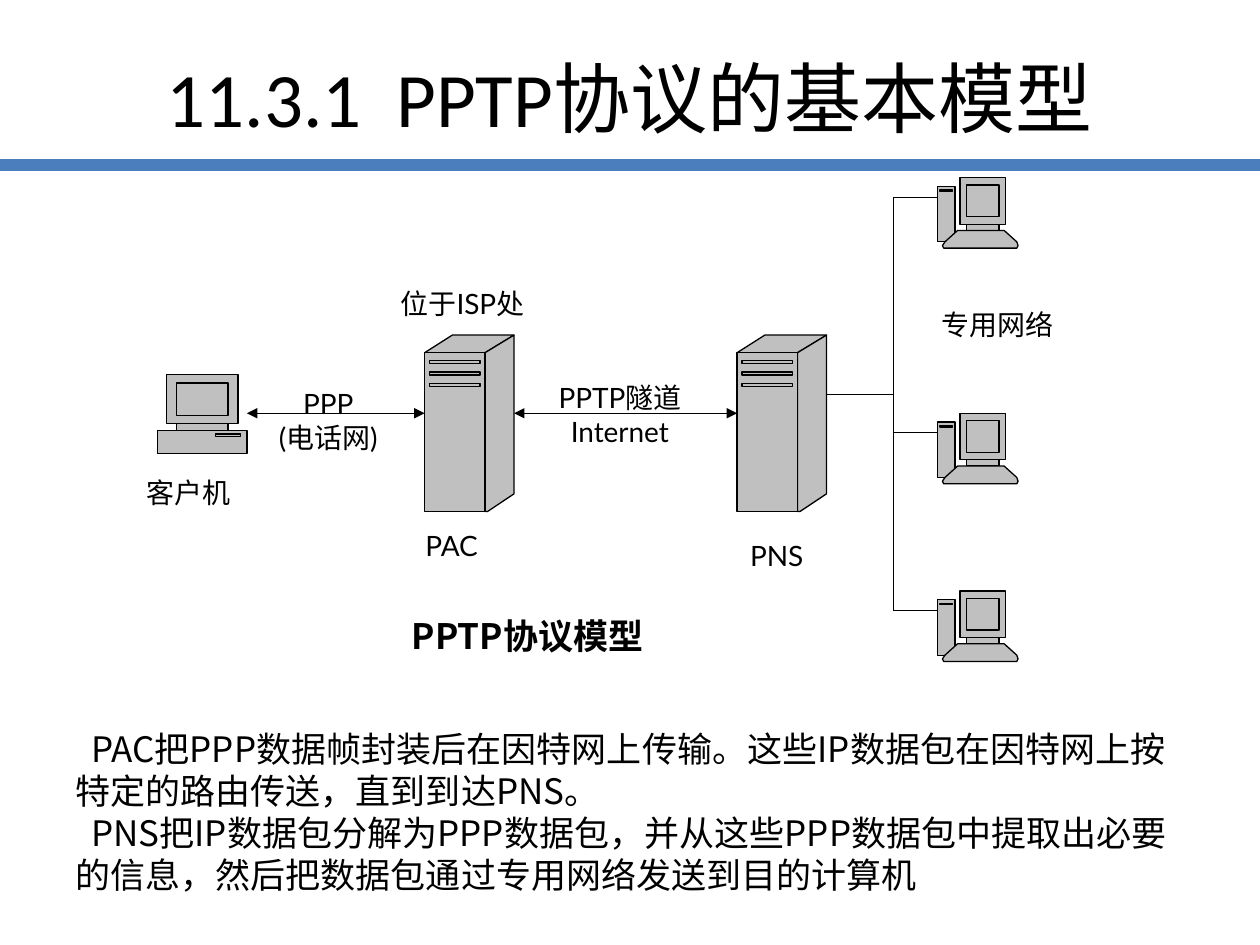
from lxml import etree
from pptx import Presentation, util as u
from pptx.dml.color import RGBColor
from pptx.enum import shapes, text
from pptx.oxml import ns

theme = {
    "ink": RGBColor(0x00, 0x00, 0x00), "metal": RGBColor(0xC0, 0xC0, 0xC0),
    "rule": RGBColor(0x4B, 0x7E, 0xBC),
    "title": ("Calibri", u.Pt(44)), "label": ("Lato", u.Pt(16)),
    "prose": ("Noto Sans CJK SC", u.Pt(20)),
    "thin": u.Pt(0.75), "thick": u.Pt(7), "leading": u.Pt(24),
}

deck = Presentation()
deck.slide_width, deck.slide_height = u.Inches(10), u.Inches(7.5)
slide = deck.slides.add_slide(deck.slide_layouts[5])
canvas = slide.shapes
unit = deck.slide_width / 100


def draw_device(parts, left, top):
    outline = None
    for part in parts:
        if isinstance(part, tuple):
            x, y, width, height = part
            part = [(x, y), (x + width, y), (x + width, y + height), (x, y + height)]
        points = [(int((left + x) * unit), int((top + y) * unit)) for x, y in part]
        if outline is None:
            outline = canvas.build_freeform(*points[0])
        else:
            outline.move_to(*points[0])
        outline.add_line_segments(points[1:], close=True)
    device = outline.convert_to_shape()
    device.shadow.inherit = False
    device.fill.solid()
    device.fill.fore_color.rgb = theme["metal"]
    device.line.color.rgb = theme["ink"]
    device.line.width = theme["thin"]

    merged = device._element.find(".//" + ns.qn("a:path"))
    layers = merged.getparent()
    for step in list(merged):
        if step.tag == ns.qn("a:moveTo"):
            layer = etree.SubElement(layers, ns.qn("a:path"), w=merged.get("w"), h=merged.get("h"))
        layer.append(step)
    layers.remove(merged)


def write(frame, lines, style, align, bold=False):
    frame.text = "\n".join(lines)
    for paragraph in frame.paragraphs:
        paragraph.alignment = align
        paragraph.font.name, paragraph.font.size = theme[style]
        paragraph.font.color.rgb = theme["ink"]
        paragraph.font.bold = bold
        if style == "prose":
            paragraph.line_spacing = theme["leading"]


title = canvas.title
title.left, title.top, title.width, title.height = (int(n * unit) for n in (5, 3, 90, 9.4))
title.text_frame.vertical_anchor = text.MSO_ANCHOR.MIDDLE
write(title.text_frame, ["11.3.1  PPTP协议的基本模型"], "title", text.PP_ALIGN.CENTER)

client_left, pac_left, pns_left, bus, station_left = 12.5, 33.7, 58.5, 70.9, 74.4
server_top, server_width, client_width, tunnel = 26.6, 7.1, 7.1, 32.8
station_tops = [14.1, 32.8, 46.9]
drops = [station_top + 1.55 for station_top in station_tops]

client = [(0.7, 0, 5.7, 3.9), (1.5, 3.9, 4.1, 0.6), (0, 4.5, 7.1, 1.8),
          (1.5, 0.7, 4.1, 2.6), (4.6, 4.75, 2, 0.2)]
server = [[(0, 1.4), (2.2, 0), (7.1, 0), (4.8, 1.4)],
          [(4.8, 1.4), (7.1, 0), (7.1, 12.6), (5, 14), (4.8, 14)],
          (0, 1.4, 4.8, 12.6)]
server += [(0.4, 2 + 0.93 * slot, 4, 0.25) for slot in range(3)]
station = [(0, 0.7, 1.4, 4.4), (2.3, 3.7, 2.6, 0.5), (1.8, 0, 3.6, 3.7),
           (2.3, 0.6, 2.6, 2.5), (0.2, 1, 1, 0.1),
           [(1.6, 4.2), (5.3, 4.2), (6.3, 5.1), (6.4, 5.4), (6.3, 5.6),
            (0.5, 5.6), (0.4, 5.4), (0.6, 5.1)]]

draw_device(client, client_left, 29.7)
for server_left in (pac_left, pns_left):
    draw_device(server, server_left, server_top)
for station_top in station_tops:
    draw_device(station, station_left, station_top)

links = [(0, 13.1, 100, 13.1, "rule", "thick", False),
         (pns_left + server_width, 31.3, bus, 31.3, "ink", "thin", False),
         (bus, drops[0], bus, drops[-1], "ink", "thin", False),
         (client_left + client_width, tunnel, pac_left, tunnel, "ink", "thin", True),
         (pac_left + server_width, tunnel, pns_left, tunnel, "ink", "thin", True)]
links += [(bus, drop, station_left, drop, "ink", "thin", False) for drop in drops]
for *ends, colour, weight, two_way in links:
    link = canvas.add_connector(shapes.MSO_CONNECTOR.STRAIGHT, *(int(n * unit) for n in ends))
    link.line.color.rgb = theme[colour]
    link.line.width = theme[weight]
    if two_way:
        for tip in ("a:headEnd", "a:tailEnd"):
            etree.SubElement(link.line._get_or_add_ln(), ns.qn(tip), type="triangle")
    etree.SubElement(link._element.spPr, ns.qn("a:effectLst"))

labels = [(["客户机"], 10.8, 37.4, 8.3, 3.3),
          (["PPP", "(电话网)"], 21, 31.7, 10.1, 3.3),
          (["PAC"], 31.7, 41.6, 8.3, 3.3),
          (["PNS"], 57.5, 42.4, 8.3, 3.3),
          (["PPTP隧道", "Internet"], 43.7, 29.9, 11, 6),
          (["位于ISP处"], 31.1, 22.4, 11.2, 3.3),
          (["专用网络"], 73.3, 24.1, 11.7, 3.3)]
for lines, *place in labels:
    label = canvas.add_textbox(*(int(n * unit) for n in place)).text_frame
    label.margin_left = label.margin_right = label.margin_top = label.margin_bottom = 0
    label.word_wrap = False
    label.vertical_anchor = text.MSO_ANCHOR.MIDDLE
    write(label, lines, "label", text.PP_ALIGN.CENTER)

caption = canvas.add_textbox(*(int(n * unit) for n in (31.7, 48.3, 21.7, 4.3))).text_frame
caption.word_wrap = True
write(caption, ["PPTP协议模型"], "prose", text.PP_ALIGN.LEFT, bold=True)

explanation = canvas.add_textbox(*(int(n * unit) for n in (5, 57.25, 90.8, 14.3))).text_frame
explanation.word_wrap = True
write(explanation, [
    "PAC把PPP数据帧封装后在因特网上传输。这些IP数据包在因特网上按特定的路由传送，直到到达PNS。",
    "PNS把IP数据包分解为PPP数据包，并从这些PPP数据包中提取出必要的信息，然后把数据包通过专用网络发送到目的计算机",
], "prose", text.PP_ALIGN.LEFT)
for paragraph in explanation.paragraphs:
    paragraph._p.get_or_add_pPr().set("indent", str(int(1.25 * unit)))

deck.save("out.pptx")
